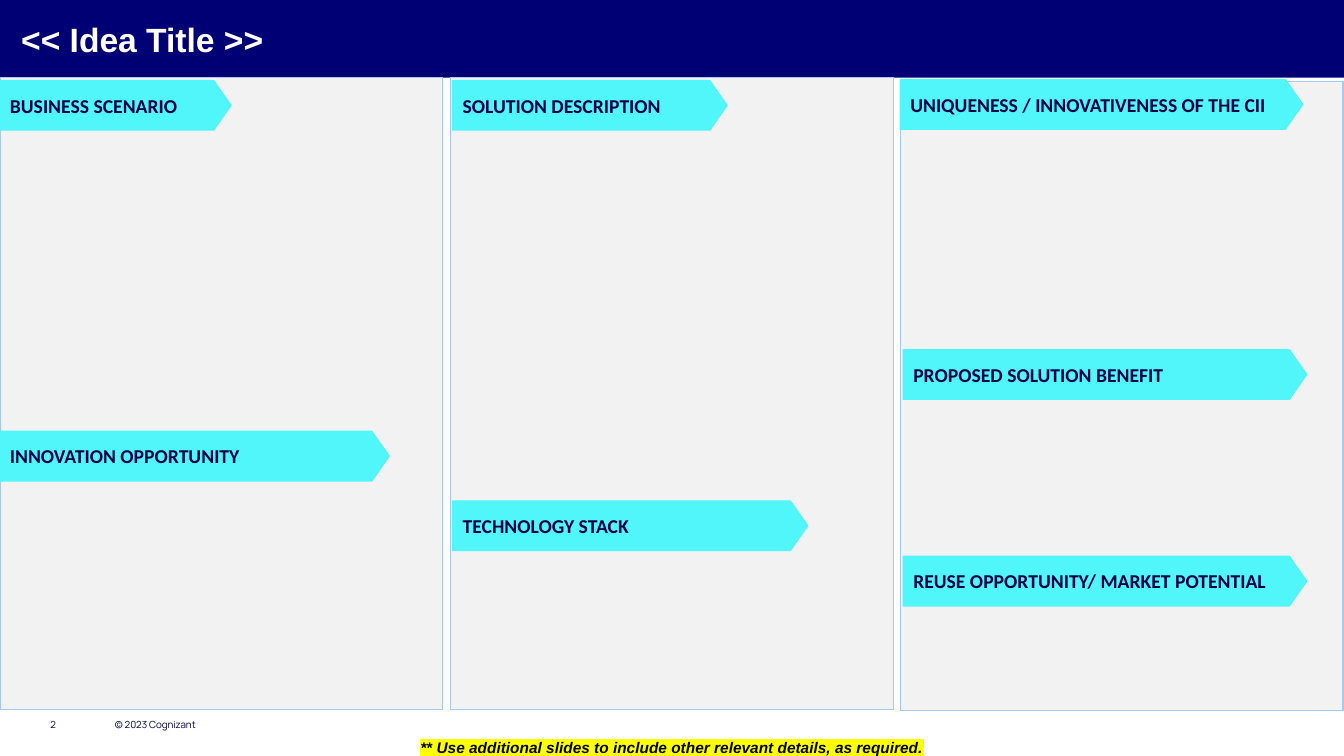
from lxml import etree
from pptx import Presentation
from pptx.dml.color import RGBColor
from pptx.enum.shapes import MSO_SHAPE
from pptx.enum.text import MSO_ANCHOR, PP_ALIGN
from pptx.oxml.ns import qn
from pptx.util import Emu, Pt

RECTANGLE, ARROW_TAG = MSO_SHAPE.RECTANGLE, MSO_SHAPE.PENTAGON
TOP, MIDDLE, BOTTOM = MSO_ANCHOR.TOP, MSO_ANCHOR.MIDDLE, MSO_ANCHOR.BOTTOM
LEFT, CENTER = PP_ALIGN.LEFT, PP_ALIGN.CENTER
EMU_PER_PX = 9144  # 100 px to the inch
SLIDE_WIDTH, SLIDE_HEIGHT = 1333, 750
PANEL_WIDTH, TAG_HEIGHT = 439, 49

# Left, top and height of each column panel
PANELS = [(0, 77, 627), (447, 77, 627), (893, 81, 624)]

# Left, top, width and heading of each arrow tag
TAGS = [
    (0, 80, 229, "BUSINESS SCENARIO"),
    (0, 428, 386, "INNOVATION OPPORTUNITY"),
    (449, 80, 272, "SOLUTION DESCRIPTION"),
    (449, 497, 352, "TECHNOLOGY STACK"),
    (893, 79, 399, "UNIQUENESS / INNOVATIVENESS OF THE CII"),
    (896, 347, 400, "PROPOSED SOLUTION BENEFIT"),
    (896, 552, 400, "REUSE OPPORTUNITY/ MARKET POTENTIAL"),
]


def px(length):
    return Emu(length * EMU_PER_PX)


def color(value):
    return RGBColor.from_string(value)


class SlideBuilder:
    navy, ink, white = "000074", "000048", "FFFFFF"
    panel_fill, panel_line, cyan = "F2F2F2", "A9C9EA", "50F6FA"
    black, yellow = "000000", "FFFF00"

    def __init__(self, slide):
        self.slide = slide

    def shape(self, kind, left, top, width, height, fill, line=None):
        shape = self.slide.shapes.add_shape(
            kind, px(left), px(top), px(width), px(height))
        shape.shadow.inherit = False
        shape.fill.solid()
        shape.fill.fore_color.rgb = color(fill)
        if line:
            shape.line.color.rgb = color(line)
            shape.line.width = Pt(1)
        else:
            shape.line.fill.background()
        return shape

    def run(self, paragraph, text, size, font, ink, bold=False, italic=False):
        run = paragraph.add_run()
        run.text = text
        run.font.size = Pt(size)
        run.font.bold = bold
        run.font.italic = italic
        run.font.color.rgb = color(ink)
        run.font.name = font
        return run

    def highlight(self, run, value):
        """Put a marker colour behind a run."""
        marker = etree.Element(qn("a:highlight"))
        etree.SubElement(marker, qn("a:srgbClr")).set("val", value)
        run.font.fill  # the marker must follow the text fill
        run.font._element.find(qn("a:solidFill")).addnext(marker)

    def tag(self, left, top, width, heading):
        shape = self.shape(ARROW_TAG, left, top, width, TAG_HEIGHT,
                           self.cyan, self.cyan)
        shape.adjustments[0] = 0.35
        shape.text_frame.word_wrap = True
        shape.text_frame.vertical_anchor = MIDDLE
        paragraph = shape.text_frame.paragraphs[0]
        paragraph.alignment = LEFT
        self.run(paragraph, heading, 14, "Calibri", self.ink, bold=True)

    def text(self, left, top, width, height, text, size, font, ink,
             anchor=TOP, align=LEFT, wrap=True, **style):
        box = self.slide.shapes.add_textbox(
            px(left), px(top), px(width), px(height))
        frame = box.text_frame
        frame.margin_left = frame.margin_right = 0
        frame.margin_top = frame.margin_bottom = 0
        frame.word_wrap = wrap
        frame.vertical_anchor = anchor
        paragraph = frame.paragraphs[0]
        paragraph.alignment = align
        return self.run(paragraph, text, size, font, ink, **style)

    def footer(self, left, width, text):
        self.text(left, 704, width, 21, text, 7, "Manrope", self.ink,
                  anchor=BOTTOM, wrap=False)


def main():
    presentation = Presentation()
    presentation.slide_width = px(SLIDE_WIDTH)
    presentation.slide_height = px(SLIDE_HEIGHT)
    builder = SlideBuilder(
        presentation.slides.add_slide(presentation.slide_layouts[6]))

    builder.footer(114, 131, "© 2023 Cognizant")
    builder.shape(RECTANGLE, 0, 0, SLIDE_WIDTH, 77, builder.navy)
    builder.text(21, 19, 1182, 34, "<< Idea Title >>", 24, "Arial",
                 builder.white, bold=True)
    builder.footer(50, 39, "2")

    for left, top, height in PANELS:
        builder.shape(RECTANGLE, left, top, PANEL_WIDTH, height,
                      builder.panel_fill, builder.panel_line)
    for tag in TAGS:
        builder.tag(*tag)

    note = builder.text(
        0, 732, SLIDE_WIDTH, 18,
        "** Use additional slides to include other relevant details, as required.",
        11, "Arial", builder.black, align=CENTER, bold=True, italic=True)
    builder.highlight(note, builder.yellow)

    presentation.save("out.pptx")


if __name__ == "__main__":
    main()
